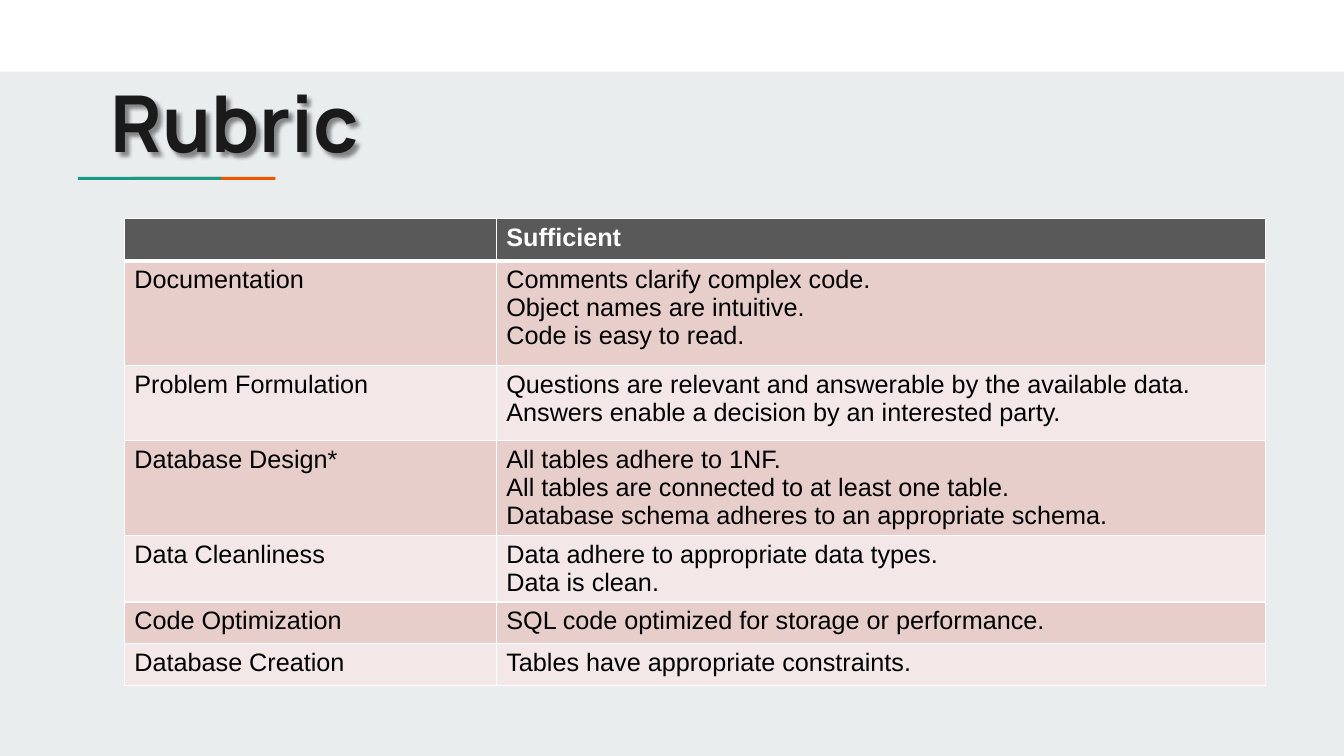
from collections import namedtuple

from lxml.etree import SubElement
from pptx import Presentation
from pptx.dml.color import RGBColor
from pptx.enum.shapes import MSO_SHAPE
from pptx.enum.text import MSO_ANCHOR, PP_ALIGN
from pptx.oxml import parse_xml
from pptx.oxml.ns import nsdecls, qn
from pptx.util import Inches, Pt

COLORS = {
    "page": "E9EDEE", "band": "FFFFFF", "teal": "1A9988", "orange": "EB5600",
    "title": "1A1A1A", "header": "595959", "odd": "E7CECB", "even": "F3E8E7",
    "header_text": "FFFFFF", "text": "000000", "border": "FFFFFF", "shadow": "000000",
}
WIDTH, HEIGHT = Inches(13.33), Inches(7.5)
COLUMN, ROW = WIDTH / 100, HEIGHT / 100
Box = namedtuple("Box", "left top width height")

RUBRIC = [
    ("", ["Sufficient"], 5.55),
    ("Documentation", ["Comments clarify complex code.", "Object names are intuitive.",
                       "Code is easy to read."], 13.85),
    ("Problem Formulation", ["Questions are relevant and answerable by the available data.",
                             "Answers enable a decision by an interested party."], 9.95),
    ("Database Design*", ["All tables adhere to 1NF.",
                          "All tables are connected to at least one table.",
                          "Database schema adheres to an appropriate schema."], 12.55),
    ("Data Cleanliness", ["Data adhere to appropriate data types.", "Data is clean."], 8.72),
    ("Code Optimization", ["SQL code optimized for storage or performance."], 5.55),
    ("Database Creation", ["Tables have appropriate constraints."], 5.55),
]


def color(name):
    """Return the named palette colour."""
    return RGBColor.from_string(COLORS[name])


def measure(box):
    """Convert a box in grid columns and rows to slide lengths."""
    return [round(length * unit) for length, unit in zip(box, (COLUMN, ROW) * 2)]


def write_span(para, text, color_name, formats):
    """Add a formatted span of text to a paragraph."""
    span = para.add_run()
    span.text = text
    for name, value in formats.items():
        setattr(span.font, name, value)
    span.font.color.rgb = color(color_name)


def add_bar(page, box, color_name):
    """Add a plain filled rectangle."""
    bar = page.shapes.add_shape(MSO_SHAPE.RECTANGLE, *measure(box))
    bar.shadow.inherit = False
    bar.fill.solid()
    bar.fill.fore_color.rgb = color(color_name)
    bar.line.fill.background()


def add_accent(page, box, bar_share=0.725):
    """Overlap a teal bar on an orange bar of equal length under the title."""
    bar_width = box.width * bar_share
    add_bar(page, box._replace(left=box.left + box.width - bar_width, width=bar_width), "orange")
    add_bar(page, box._replace(width=bar_width), "teal")


def add_title(page, box, text):
    """Place the title placeholder and give its letters a soft shadow."""
    title = page.shapes.title
    title.left, title.top, title.width, title.height = measure(box)
    frame = title.text_frame
    frame.word_wrap = True
    frame.vertical_anchor = MSO_ANCHOR.MIDDLE
    para = frame.paragraphs[0]
    para.alignment = PP_ALIGN.LEFT
    write_span(para, text, "title", {"name": "Manrope", "size": Pt(56), "bold": True})
    title.fill.background()
    title._element.spPr.append(parse_xml(
        f'<a:effectLst {nsdecls("a")}>'
        '<a:outerShdw blurRad="38100" dist="38100" dir="2700000" algn="tl">'
        f'<a:srgbClr val="{COLORS["shadow"]}"><a:alpha val="43000"/></a:srgbClr>'
        '</a:outerShdw></a:effectLst>'))


def set_borders(cell, widths):
    """Draw the left, right, top and bottom borders of a cell."""
    properties = cell._tc.get_or_add_tcPr()
    for position, (side, width) in enumerate(zip("LRTB", widths)):
        line = parse_xml(f'<a:ln{side} {nsdecls("a")} w="{Pt(width)}"/>')
        fill = SubElement(line, qn("a:solidFill"))
        SubElement(fill, qn("a:srgbClr"), val=COLORS["border"])
        properties.insert(position, line)


def fill_cell(cell, lines, row_index):
    """Write, shade and border one rubric cell."""
    is_header = row_index == 0
    frame = cell.text_frame
    for index, line in enumerate(lines):
        para = frame.add_paragraph() if index else frame.paragraphs[0]
        write_span(para, line, "header_text" if is_header else "text",
                   {"name": "Arial", "size": Pt(18), "bold": is_header})
    cell.fill.solid()
    cell.fill.fore_color.rgb = color("header" if is_header else ("even", "odd")[row_index % 2])
    set_borders(cell, (1, 1, 3 if row_index == 1 else 1, 3 if is_header else 1))


def add_rubric(page, box, first_width=27.68):
    """Add the rubric table, with its sizes given in grid columns and rows."""
    table = page.shapes.add_table(len(RUBRIC), 2, *measure(box)).table
    for column, width in zip(table.columns, (first_width, box.width - first_width)):
        column.width = round(width * COLUMN)
    for index, (criterion, lines, height) in enumerate(RUBRIC):
        table.rows[index].height = round(height * ROW)
        fill_cell(table.cell(index, 0), [criterion] if criterion else [], index)
        fill_cell(table.cell(index, 1), lines, index)


def build_rubric_page(deck):
    """Compose the rubric slide."""
    page = deck.slides.add_slide(deck.slide_layouts.get_by_name("Title Only"))
    page.background.fill.solid()
    page.background.fill.fore_color.rgb = color("page")
    add_bar(page, Box(0, 0, 100, 9.47), "band")
    add_accent(page, Box(5.8, 23.4, 14.7, 0.4))
    add_title(page, Box(7.5, 8.93, 84.92, 14.13), "Rubric")
    add_rubric(page, Box(9.25, 28.93, 84.92, sum(height for _, _, height in RUBRIC)))


deck = Presentation()
deck.slide_width, deck.slide_height = WIDTH, HEIGHT
build_rubric_page(deck)
deck.save("out.pptx")
